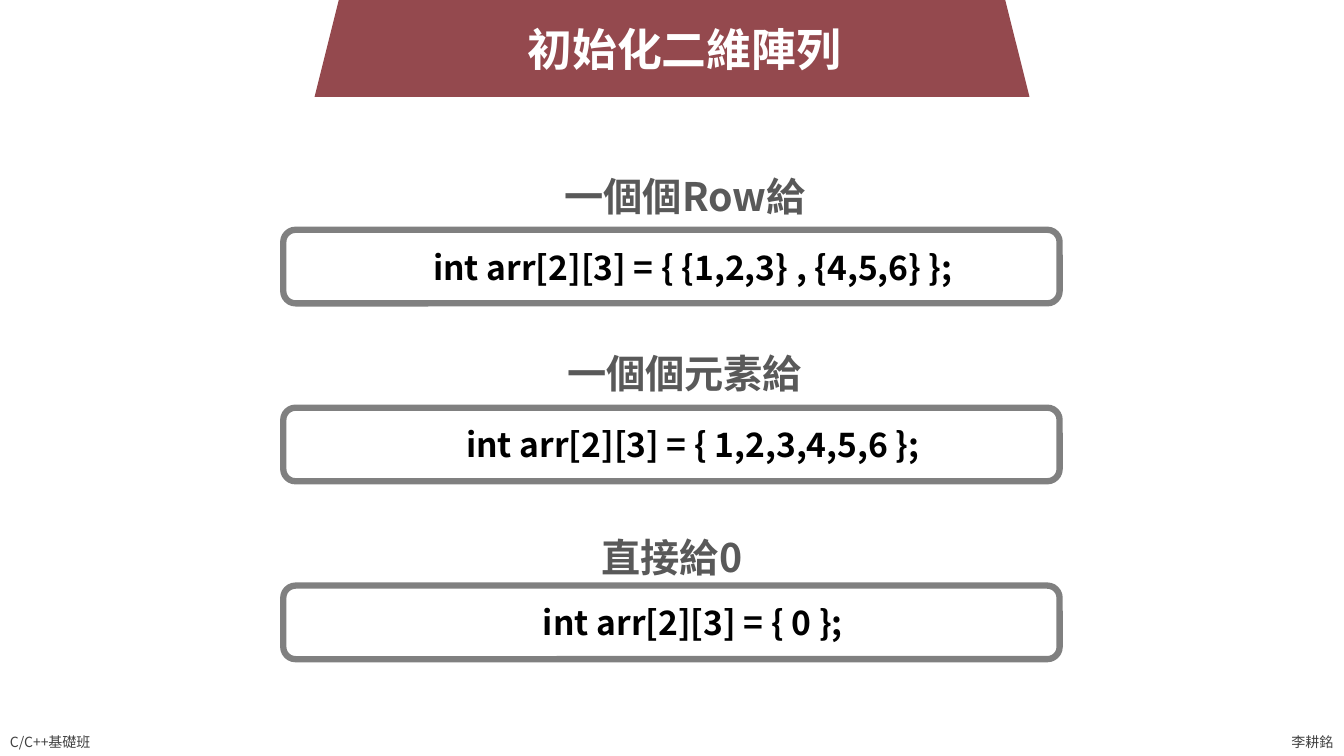
from dataclasses import dataclass

from lxml import etree
from pptx import Presentation
from pptx import util as u
from pptx.dml.color import RGBColor
from pptx.enum import shapes, text
from pptx.oxml.ns import qn


@dataclass(frozen=True)
class Theme:
    heading_font: str = "Noto Sans CJK TC"
    code_font: str = "Noto Sans CJK SC"
    banner: str = "94494E"
    white: str = "FFFFFF"
    border: str = "808080"
    code: str = "000000"
    label: str = "595959"
    footer: str = "404040"
    title_size: int = 32
    label_size: int = 28
    code_size: int = 24
    footer_size: int = 10
    border_width: float = 4.5


class SlideBuilder:
    def __init__(self, slide, theme):
        self.slide = slide
        self.theme = theme

    def style_run(self, paragraph, font_name, size, color, bold):
        """Format the paragraph's only run, for Latin and East Asian glyphs alike."""
        run = paragraph.runs[0]
        run.font.size = u.Pt(size)
        run.font.bold = bold
        run.font.color.rgb = RGBColor.from_string(color)
        run.font.name = font_name
        east_asian = etree.SubElement(run.font._element, qn("a:ea"))
        east_asian.set("typeface", font_name)

    def add_text(self, box, content, size, color, bold=True, wrap=True,
                 align=text.PP_ALIGN.CENTER, anchor=text.MSO_ANCHOR.TOP):
        text_box = self.slide.shapes.add_textbox(*map(u.Inches, box))
        frame = text_box.text_frame
        frame.text = content
        frame.word_wrap = wrap
        frame.auto_size = text.MSO_AUTO_SIZE.SHAPE_TO_FIT_TEXT
        frame.vertical_anchor = anchor
        paragraph = frame.paragraphs[0]
        paragraph.alignment = align
        self.style_run(paragraph, self.theme.heading_font, size, color, bold)

    def add_shape(self, kind, box, fill):
        shape = self.slide.shapes.add_shape(kind, *map(u.Inches, box))
        shape.shadow.inherit = False
        shape.fill.solid()
        shape.fill.fore_color.rgb = RGBColor.from_string(fill)
        shape.line.fill.background()
        return shape

    def add_title(self, content):
        theme = self.theme
        self.add_shape(shapes.MSO_SHAPE.TRAPEZOID, (3.12, -0.26, 7.09, 1.22), theme.banner)
        self.add_text((5.12, 0.17, 3.34, 0.64), content,
                      theme.title_size, theme.white, wrap=False)

    def add_code(self, top, content):
        theme = self.theme
        shape = self.add_shape(shapes.MSO_SHAPE.ROUNDED_RECTANGLE,
                               (2.81, top, 7.7, 0.73), theme.white)
        shape.line.color.rgb = RGBColor.from_string(theme.border)
        shape.line.width = u.Pt(theme.border_width)
        frame = shape.text_frame
        frame.text = content
        frame.vertical_anchor = text.MSO_ANCHOR.MIDDLE
        paragraph = frame.paragraphs[0]
        paragraph.alignment = text.PP_ALIGN.CENTER
        paragraph.level = 1
        properties = paragraph._p.get_or_add_pPr()
        properties.set("marL", str(u.Inches(0.5)))
        properties.set("indent", "0")
        self.style_run(paragraph, theme.code_font, theme.code_size, theme.code, True)

    def add_label(self, box, content):
        self.add_text(box, content, self.theme.label_size, self.theme.label)

    def add_footer(self, left, width, content, anchor):
        self.add_text((left, 7.23, width, 0.27), content, self.theme.footer_size,
                      self.theme.footer, bold=False, wrap=False,
                      align=text.PP_ALIGN.LEFT, anchor=anchor)


def main():
    presentation = Presentation()
    presentation.slide_width = u.Inches(13.33)
    presentation.slide_height = u.Inches(7.5)
    slide = presentation.slides.add_slide(presentation.slide_layouts[6])
    builder = SlideBuilder(slide, Theme())

    builder.add_footer(0, 1.07, "C/C++基礎班", text.MSO_ANCHOR.TOP)
    builder.add_footer(12.71, 0.62, "李耕銘", text.MSO_ANCHOR.MIDDLE)
    builder.add_title("初始化二維陣列")

    examples = [
        ((5.32, 1.66, 2.95, 0.57), "一個個Row給", "int arr[2][3] = { {1,2,3} , {4,5,6} }; "),
        ((5.42, 3.42, 2.74, 0.57), "一個個元素給", "int arr[2][3] = { 1,2,3,4,5,6 }; "),
        ((5.76, 5.24, 1.81, 0.57), "直接給0", "int arr[2][3] = { 0 }; "),
    ]
    first_code_top, code_pitch = 2.28, 1.765
    for index, (label_box, label, code) in enumerate(examples):
        builder.add_code(first_code_top + index * code_pitch, code)
        builder.add_label(label_box, label)

    presentation.save("out.pptx")


if __name__ == "__main__":
    main()
